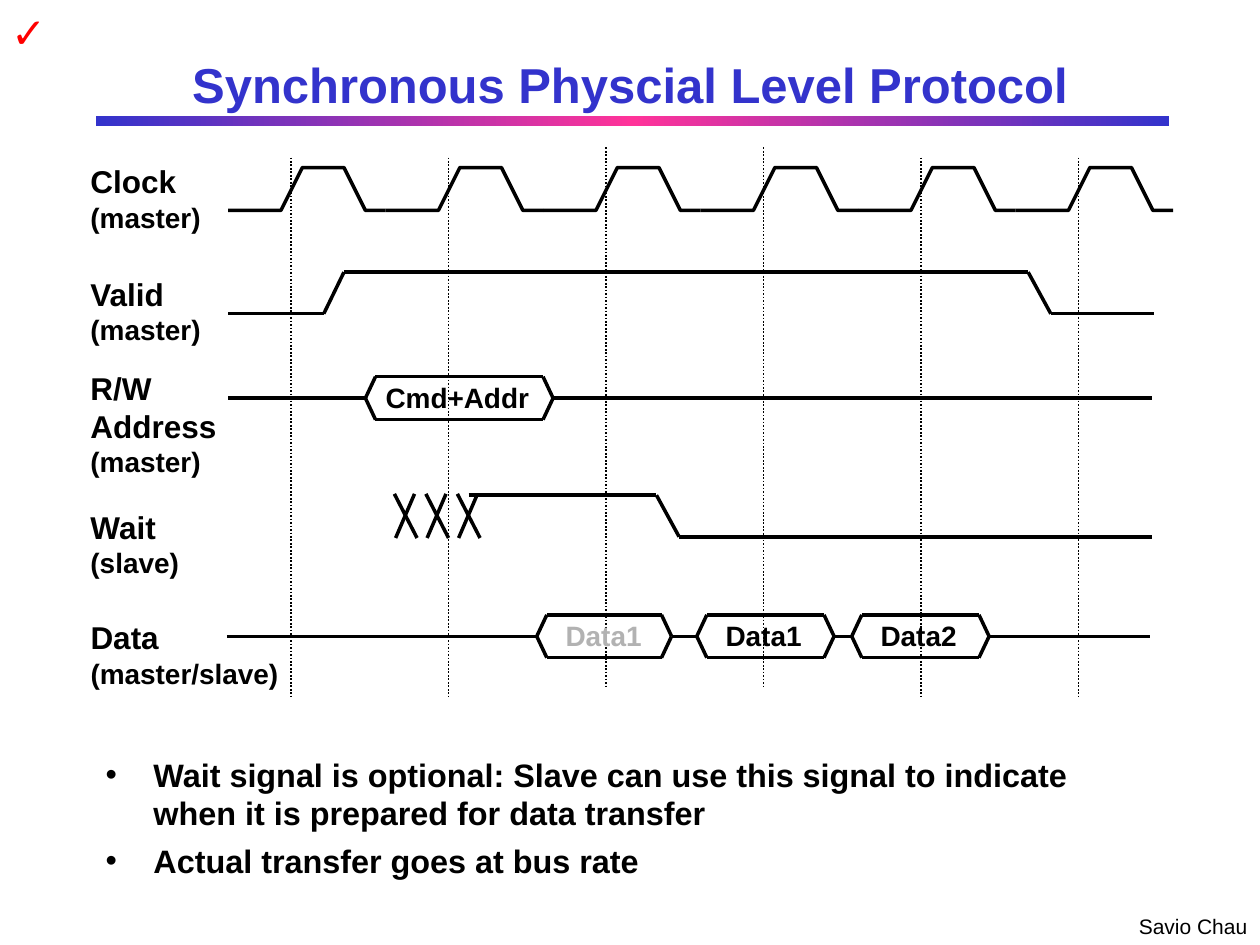
from copy import deepcopy

from lxml.etree import SubElement
from pptx import Presentation
from pptx.dml.color import RGBColor
from pptx.enum.dml import MSO_LINE
from pptx.enum.shapes import MSO_CONNECTOR, MSO_SHAPE
from pptx.enum.text import MSO_ANCHOR, MSO_AUTO_SIZE, PP_ALIGN
from pptx.oxml.ns import qn
from pptx.util import Inches, Pt


def color(value):
    return RGBColor.from_string(value)


class Diagram:
    font = "Arial"
    ink = "000000"
    accent = "3333CC"
    weight = 2

    def __init__(self, slide):
        self.shapes = slide.shapes

    def text(self, box, lines, ink=None, bold=True, align=PP_ALIGN.LEFT,
             wrap=False, grow=True, anchor=MSO_ANCHOR.TOP, bullet=False):
        s = self.shapes.add_textbox(*map(Inches, box))
        tf = s.text_frame
        resize = MSO_AUTO_SIZE.SHAPE_TO_FIT_TEXT if grow else MSO_AUTO_SIZE.NONE
        frame = {"word_wrap": wrap, "auto_size": resize, "vertical_anchor": anchor}
        for name, value in frame.items():
            setattr(tf, name, value)
        for i, (words, size) in enumerate(lines):
            p = tf.add_paragraph() if i else tf.paragraphs[0]
            p.alignment = align
            if bullet:
                self.bullet(p)
                if i:
                    p.space_before = Pt(5)
            r = p.add_run()
            r.text = words
            style = {"name": self.font, "size": Pt(size), "bold": bold}
            for name, value in style.items():
                setattr(r.font, name, value)
            r.font.color.rgb = color(ink or self.ink)

    def bullet(self, p):
        pPr = p._p.get_or_add_pPr()
        pPr.set("marL", str(Inches(0.38)))
        pPr.set("indent", str(Inches(-0.38)))
        SubElement(pPr, qn("a:buFont")).set("typeface", self.font)
        SubElement(pPr, qn("a:buChar")).set("char", "•")

    def line(self, x1, y1, x2, y2, weight=None, dash=None):
        s = self.shapes.add_connector(
            MSO_CONNECTOR.STRAIGHT, *map(Inches, (x1, y1, x2, y2)))
        s.line.color.rgb = color(self.ink)
        s.line.width = Pt(weight or self.weight)
        if dash:
            s.line.dash_style = dash
        SubElement(s._element.spPr, qn("a:effectLst"))

    def pulse(self, x, high, low):
        points = [(x, low), (x + 0.42, low), (x + 0.59, high),
                  (x + 0.92, high), (x + 1.09, low), (x + 1.25, low)]
        points = [(Inches(px), Inches(py)) for px, py in points]
        builder = self.shapes.build_freeform(*points[0])
        builder.add_line_segments(points[1:], close=False)
        s = builder.convert_to_shape()
        s.shadow.inherit = False
        s.fill.background()
        s.line.color.rgb = color(self.ink)
        s.line.width = Pt(self.weight)

    def bus(self, left, right, mid, label, box, **style):
        slant, half = 0.08, 0.17
        for y in (mid - half, mid + half):
            self.line(left + slant, y, right - slant, y)
            self.line(left, mid, left + slant, y)
            self.line(right - slant, y, right, mid)
        self.text(box, [(label, 16)], **style)

    def bar(self, box, middle):
        s = self.shapes.add_shape(MSO_SHAPE.RECTANGLE, *map(Inches, box))
        s.shadow.inherit = False
        s.line.fill.background()
        s.fill.gradient()
        s.fill.gradient_angle = 0
        first = s._element.spPr.find(".//" + qn("a:gs"))
        first.addnext(deepcopy(first))
        stops = zip(s.fill.gradient_stops, (0, 0.5, 1),
                    (self.accent, middle, self.accent))
        for stop, position, value in stops:
            stop.position = position
            stop.color.rgb = color(value)


def main():
    prs = Presentation()
    prs.slide_width, prs.slide_height = Inches(10), Inches(7.5)
    d = Diagram(prs.slides.add_slide(prs.slide_layouts[6]))

    d.bar((0.76, 0.92, 8.52, 0.08), "FF3399")
    d.text((8.94, 7.2, 1.06, 0.3), [("Savio Chau", 12)], bold=False)
    d.text((0.75, 0.34, 8.5, 0.66), [("Synchronous Physcial Level Protocol", 28)],
           ink=d.accent, align=PP_ALIGN.CENTER, wrap=True, grow=False,
           anchor=MSO_ANCHOR.MIDDLE)
    d.text((0.74, 5.94, 8.5, 1.16), [
        ("Wait signal is optional: Slave can use this signal to indicate "
         "when it is prepared for data transfer", 18.5),
        ("Actual transfer goes at bus rate", 18.5),
    ], wrap=True, grow=False, bullet=True)
    d.text((-0.01, 0, 0.47, 0.5), [("✓", 24)], ink="FF0000")

    labels = [
        (1.24, 1.1, ["Clock"], "(master)"),
        (2.13, 1.1, ["Valid"], "(master)"),
        (2.88, 1.23, ["R/W", "Address"], "(master)"),
        (3.98, 0.93, ["Wait"], "(slave)"),
        (4.86, 1.72, ["Data"], "(master/slave)"),
    ]
    for top, width, names, driver in labels:
        lines = [(name, 18) for name in names] + [(driver, 16)]
        d.text((0.62, top, width, 0.06 + 0.3 * len(lines)), lines)

    period = 1.25
    for i, top in enumerate((1.25, 1.25, 1.17, 1.17, 1.25, 1.25)):
        d.pulse(1.81 + i * period, 1.33, 1.67)
        x = 2.31 + i * period
        d.line(x, top, x, top + 4.29, weight=1, dash=MSO_LINE.ROUND_DOT)

    valid = [(1.81, 2.49), (2.57, 2.49), (2.73, 2.16),
             (8.16, 2.16), (8.34, 2.49), (9.16, 2.49)]
    wait = [(3.72, 3.93), (5.21, 3.93), (5.39, 4.26), (9.14, 4.26)]
    for signal in (valid, wait):
        for start, end in zip(signal, signal[1:]):
            d.line(*start, *end)

    for i in range(3):
        x = 3.13 + i * 0.25
        d.line(x, 3.92, x + 0.18, 4.27)
        d.line(x + 0.01, 4.27, x + 0.16, 3.92)

    address, data = 3.16, 5.05
    idle = [(1.81, 2.9, address), (4.39, 9.14, address), (1.8, 4.26, data),
            (5.33, 5.53, data), (6.62, 6.76, data), (7.85, 9.13, data)]
    for start, end, y in idle:
        d.line(start, y, end, y)

    d.bus(2.9, 4.39, address, "Cmd+Addr", (2.95, 2.97, 1.36, 0.36),
          align=PP_ALIGN.CENTER)
    d.bus(4.26, 5.33, data, "Data1", (4.39, 4.86, 0.85, 0.36), ink="B2B2B2")
    d.bus(5.53, 6.62, data, "Data1", (5.66, 4.86, 0.85, 0.36))
    d.bus(6.76, 7.85, data, "Data2", (6.89, 4.86, 0.85, 0.36))

    prs.save("out.pptx")


if __name__ == "__main__":
    main()
